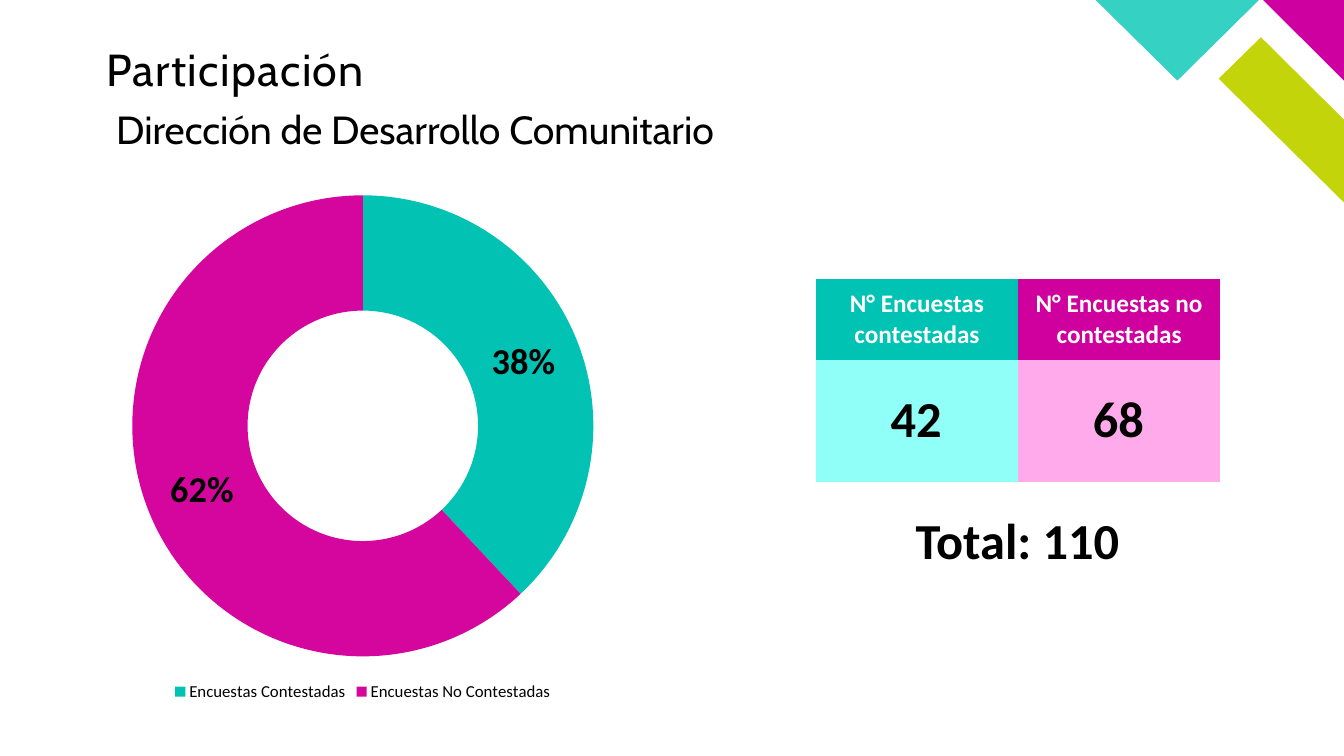
from dataclasses import dataclass

from pptx import Presentation
from pptx.chart.data import CategoryChartData as ChartData
from pptx.dml.color import RGBColor
from pptx.enum.chart import XL_CHART_TYPE as Kind, XL_LEGEND_POSITION as Side
from pptx.enum.text import MSO_ANCHOR as Anchor, PP_ALIGN as Align
from pptx.oxml.ns import qn
from pptx.slide import Slide
from pptx.text.text import TextFrame
from pptx.util import Pt

BLACK = RGBColor(0x00, 0x00, 0x00)
WHITE = RGBColor(0xFF, 0xFF, 0xFF)
LIME = RGBColor(0xC4, 0xD4, 0x0A)
PLUM = RGBColor(0xCE, 0x00, 0x9F)
AQUA = RGBColor(0x35, 0xD2, 0xC4)
TEAL = RGBColor(0x00, 0xC3, 0xB3)
PINK = RGBColor(0xD0, 0x00, 0x9E)
PALE_TEAL = RGBColor(0x8F, 0xFF, 0xF7)
PALE_PINK = RGBColor(0xFF, 0xAB, 0xEB)
RING_TEAL = RGBColor(0x01, 0xC2, 0xB3)
RING_PINK = RGBColor(0xD4, 0x06, 0x9D)

WIDE, HIGH = 960, 540
PLAIN_GRID = "{2D5ABB26-0587-4C30-8999-92F81FD0307C}"

# Table grid
LEFT, TOP = 582.8, 199.4
COL_WIDE, HEAD_HIGH, COUNT_HIGH = 144.4, 57.8, 87


@dataclass
class Patch:
    color: RGBColor
    points: list[tuple[float, float]]


@dataclass
class Style:
    size: float
    font: str = "Calibri"
    color: RGBColor = BLACK
    bold: bool = False
    align: Align = Align.LEFT
    lines: float = 1.0
    gap: int = 0  # letter spacing, hundredths of a point


@dataclass
class Label:
    text: str
    box: tuple[float, float, float, float]
    style: Style
    anchor: Anchor = Anchor.TOP
    inset: bool = True


@dataclass
class Column:
    head: str
    count: str
    dark: RGBColor
    light: RGBColor


@dataclass
class Slice:
    name: str
    share: float
    color: RGBColor


HEAD = Style(18, color=WHITE, bold=True, align=Align.CENTER)
COUNT = Style(36, bold=True, align=Align.CENTER, lines=0.9)

PATCHES = [
    Patch(LIME, [(WIDE, 144.6), (WIDE, 85.4), (900.7, 26.6), (870.5, 56.2)]),
    Patch(PLUM, [(WIDE, 57.6), (WIDE, 0), (902.2, 0)]),
    Patch(AQUA, [(782.6, 0), (841, 57.6), (899.3, 0)]),
]
LABELS = [
    Label("Participación", (75.9, 34.2, 404, 48.2),
          Style(32, "Cabin", lines=0.9, gap=100), inset=False),
    Label("Dirección de Desarrollo Comunitario", (75.9, 75.6, 704, 69),
          Style(28, "Cabin", lines=0.9)),
    Label("Total: 110",
          (LEFT - 0.4, TOP + HEAD_HIGH + COUNT_HIGH, 2 * COL_WIDE, COUNT_HIGH),
          COUNT, Anchor.MIDDLE),
]
COLUMNS = [
    Column("N° Encuestas contestadas", "42", TEAL, PALE_TEAL),
    Column("N° Encuestas no contestadas", "68", PINK, PALE_PINK),
]
SLICES = [
    Slice("Encuestas Contestadas", 0.38, RING_TEAL),
    Slice("Encuestas No Contestadas", 0.62, RING_PINK),
]


def write(frame: TextFrame, text: str, style: Style) -> None:
    frame.text = text
    para = frame.paragraphs[0]
    para.alignment = style.align
    para.line_spacing = style.lines
    run = para.runs[0]
    run.font.size = Pt(style.size)
    run.font.name = style.font
    run.font.bold = style.bold
    run.font.color.rgb = style.color
    if style.gap:
        run.font._element.set("spc", str(style.gap))


def add_patch(slide: Slide, patch: Patch) -> None:
    first, *rest = [(Pt(x), Pt(y)) for x, y in patch.points]
    pen = slide.shapes.build_freeform(*first)
    pen.add_line_segments(rest, close=True)
    shape = pen.convert_to_shape()
    shape.shadow.inherit = False
    shape.fill.solid()
    shape.fill.fore_color.rgb = patch.color
    shape.line.fill.background()


def add_label(slide: Slide, label: Label) -> None:
    frame = slide.shapes.add_textbox(*map(Pt, label.box)).text_frame
    frame.word_wrap = True
    frame.vertical_anchor = label.anchor
    if not label.inset:
        frame.margin_left = frame.margin_right = 0
        frame.margin_top = frame.margin_bottom = 0
    write(frame, label.text, label.style)


def add_counts(slide: Slide, columns: list[Column]) -> None:
    box = (LEFT, TOP, COL_WIDE * len(columns), HEAD_HIGH + COUNT_HIGH)
    table = slide.shapes.add_table(2, len(columns), *map(Pt, box)).table
    table.first_row = table.horz_banding = False
    table._tbl.tblPr.find(qn("a:tableStyleId")).text = PLAIN_GRID
    table.rows[0].height = Pt(HEAD_HIGH)
    table.rows[1].height = Pt(COUNT_HIGH)
    for col, column in enumerate(columns):
        table.columns[col].width = Pt(COL_WIDE)
        for row, color in enumerate((column.dark, column.light)):
            cell = table.cell(row, col)
            cell.fill.solid()
            cell.fill.fore_color.rgb = color
            cell.vertical_anchor = Anchor.MIDDLE
        write(table.cell(0, col).text_frame, column.head, HEAD)

        # Count laid over the lower cell
        spot = (LEFT + col * COL_WIDE, TOP + HEAD_HIGH, 143.3, COUNT_HIGH)
        add_label(slide, Label(column.count, spot, COUNT, Anchor.MIDDLE))


def add_ring(slide: Slide, slices: list[Slice]) -> None:
    data = ChartData(number_format="0%")
    data.categories = [part.name for part in slices]
    data.add_series("Series 1", [part.share for part in slices])
    box = map(Pt, (72, 129.6, 374.4, 374.4))
    chart = slide.shapes.add_chart(Kind.DOUGHNUT, *box, data).chart
    chart.has_title = False
    chart.font.name = "Calibri"
    chart.font.size = Pt(18)

    # Legend
    chart.has_legend = True
    chart.legend.position = Side.BOTTOM
    chart.legend.include_in_layout = False
    chart.legend.font.size = Pt(12)
    chart.legend.font.color.rgb = BLACK

    # Slices and their labels
    plot = chart.plots[0]
    plot.vary_by_categories = True
    plot._element.find(qn("c:holeSize")).set("val", "50")
    series = plot.series[0]
    for i, part in enumerate(slices):
        look = series.points[i].format
        look.fill.solid()
        look.fill.fore_color.rgb = part.color
        look.line.fill.background()
    labels = series.data_labels
    labels.show_value = True
    labels.show_percentage = False
    labels.number_format = "0%"
    labels.number_format_is_linked = False
    labels.font.size = Pt(26)
    labels.font.bold = True
    labels.font.color.rgb = BLACK


def main() -> None:
    deck = Presentation()
    deck.slide_width, deck.slide_height = Pt(WIDE), Pt(HIGH)
    slide = deck.slides.add_slide(deck.slide_layouts[6])
    for patch in PATCHES:
        add_patch(slide, patch)
    add_counts(slide, COLUMNS)
    for label in LABELS:
        add_label(slide, label)
    add_ring(slide, SLICES)
    deck.save("out.pptx")


if __name__ == "__main__":
    main()
